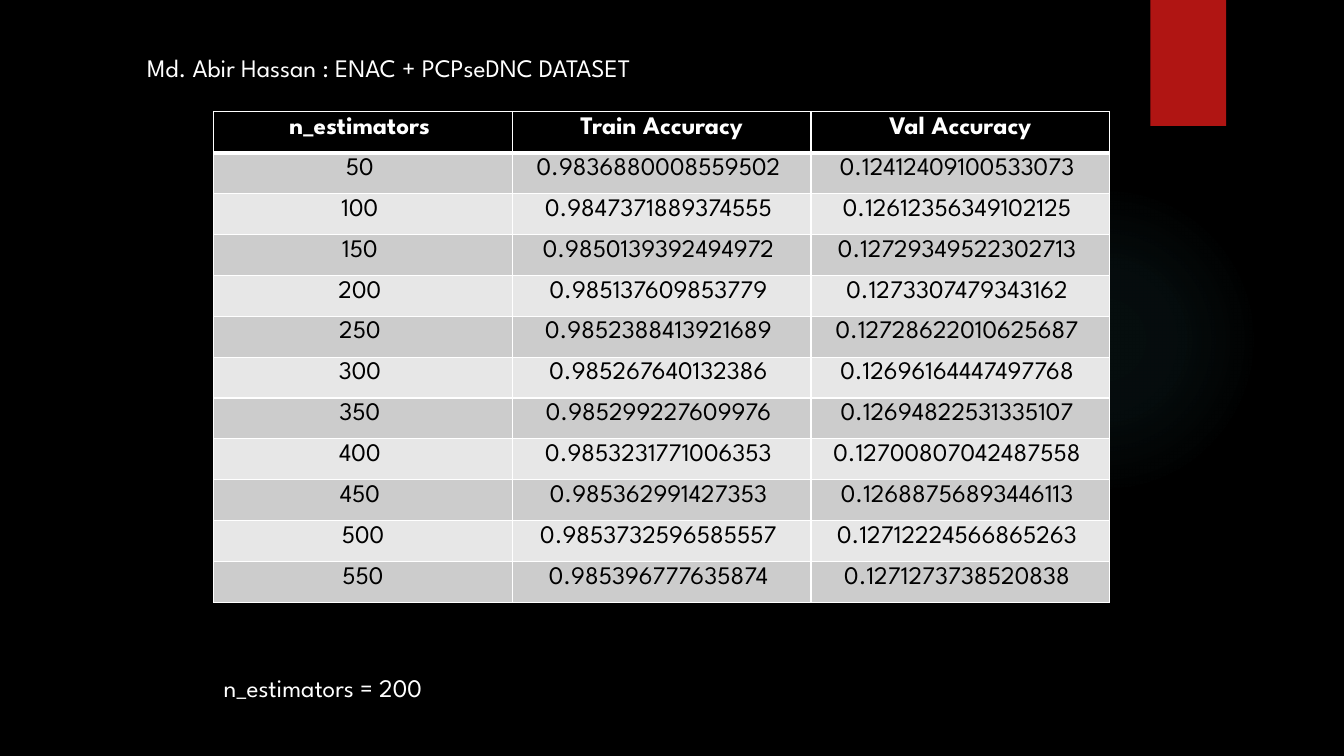
from lxml import etree
from pptx import Presentation
from pptx.dml.color import RGBColor
from pptx.enum import shapes, text
from pptx.oxml import ns
from pptx.util import Pt

FONT = "League Spartan"
HEADING = "Md. Abir Hassan : ENAC + PCPseDNC DATASET"
CHOICE = "n_estimators = 200"
ACCURACIES = [
    ("n_estimators ", "Train Accuracy", "Val Accuracy"),
    ("50 ", "0.9836880008559502 ", "0.12412409100533073 "),
    ("100 ", "0.9847371889374555 ", "0.12612356349102125 "),
    ("150 ", "0.9850139392494972 ", "0.12729349522302713 "),
    ("200 ", "0.985137609853779 ", "0.1273307479343162 "),
    ("250 ", "0.9852388413921689 ", "0.12728622010625687 "),
    ("300 ", "0.985267640132386 ", "0.12696164447497768 "),
    ("350 ", "0.985299227609976 ", "0.12694822531335107 "),
    ("400 ", "0.9853231771006353 ", "0.12700807042487558 "),
    ("450 ", "0.985362991427353 ", "0.12688756893446113 "),
    ("500", "0.9853732596585557 ", "0.12712224566865263 "),
    ("550", "0.985396777635874 ", "0.1271273738520838 "),
]
BANDS = ("E7E7E7", "CCCCCC")
GLOW_STOPS = [(0, 7), (36, 6), (69, 0)]  # position %, opacity %
TABLE_LEFT, TABLE_TOP = 152.64, 79.92
COLUMN_WIDTH, ROW_HEIGHT = 213.33, 29.2


def rgb(code):
    return RGBColor.from_string(code)


def paint(part, color):
    part.fill.solid()
    part.fill.fore_color.rgb = rgb(color)


def add_decoration(kind, left, top, width, height, color):
    decoration = slide.shapes.add_shape(kind, Pt(left), Pt(top), Pt(width), Pt(height))
    decoration.shadow.inherit = False
    decoration.line.fill.background()
    paint(decoration, color)
    return decoration


def add_glow(ellipse, color):
    """Replace the solid fill by a radial one that fades out."""
    stops = "".join(
        f'<a:gs pos="{position * 1000}"><a:srgbClr val="{color}">'
        f'<a:alpha val="{opacity * 1000}"/></a:srgbClr></a:gs>'
        for position, opacity in GLOW_STOPS)
    gradient = etree.fromstring(
        f'<a:gradFill {ns.nsdecls("a")} rotWithShape="1"><a:gsLst>{stops}</a:gsLst>'
        '<a:path path="circle"><a:fillToRect l="50000" t="50000" r="50000" b="50000"/>'
        '</a:path></a:gradFill>')
    solid = ellipse._element.spPr.find(ns.qn("a:solidFill"))
    solid.getparent().replace(solid, gradient)


def write(frame, words, color, bold=False, align=text.PP_ALIGN.LEFT):
    frame.text = words
    line = frame.paragraphs[0]
    line.alignment = align
    font = line.runs[0].font
    font.name, font.size, font.bold = FONT, Pt(18), bold
    font.color.rgb = rgb(color)


def place_label(label, words, left, top, width):
    label.left, label.top, label.width, label.height = Pt(left), Pt(top), Pt(width), Pt(29)
    frame = label.text_frame
    frame.word_wrap = True
    frame.auto_size = text.MSO_AUTO_SIZE.NONE
    frame.vertical_anchor = text.MSO_ANCHOR.MIDDLE
    write(frame, words, "FFFFFF")


def add_borders(cell, bottom):
    """Draw white cell edges, ahead of the fill as the schema asks."""
    edges = (("lnL", 1), ("lnR", 1), ("lnT", 1), ("lnB", bottom))
    for index, (edge, width) in enumerate(edges):
        border = etree.fromstring(
            f'<a:{edge} {ns.nsdecls("a")} w="{Pt(width)}"><a:solidFill>'
            f'<a:srgbClr val="FFFFFF"/></a:solidFill></a:{edge}>')
        cell._tc.get_or_add_tcPr().insert(index, border)


deck = Presentation()
deck.slide_width, deck.slide_height = Pt(960), Pt(540)
slide = deck.slides.add_slide(deck.slide_layouts[5])
paint(slide.background, "000000")

glow = add_decoration(shapes.MSO_SHAPE.OVAL, 677.5, 131.75, 221.75, 221.75, "50B9C1")
add_glow(glow, "50B9C1")
add_decoration(shapes.MSO_SHAPE.RECTANGLE, 821.75, 0, 54, 90, "B01513")

place_label(slide.shapes.title, HEADING, 97.92, 34, 532)

row_count, column_count = len(ACCURACIES), len(ACCURACIES[0])
table = slide.shapes.add_table(
    row_count, column_count, Pt(TABLE_LEFT), Pt(TABLE_TOP),
    Pt(COLUMN_WIDTH * column_count), Pt(ROW_HEIGHT * row_count)).table
for column in table.columns:
    column.width = Pt(COLUMN_WIDTH)
for row_index, values in enumerate(ACCURACIES):
    table.rows[row_index].height = Pt(ROW_HEIGHT)
    is_header = row_index == 0
    for column_index, value in enumerate(values):
        cell = table.cell(row_index, column_index)
        paint(cell, "000000" if is_header else BANDS[row_index % 2])
        add_borders(cell, 3 if is_header else 1)
        write(cell.text_frame, value, "FFFFFF" if is_header else "000000",
              is_header, text.PP_ALIGN.CENTER)

choice_label = slide.shapes.add_textbox(0, 0, 0, 0)
place_label(choice_label, CHOICE, TABLE_LEFT, 476.64, 332.5)

deck.save("out.pptx")
